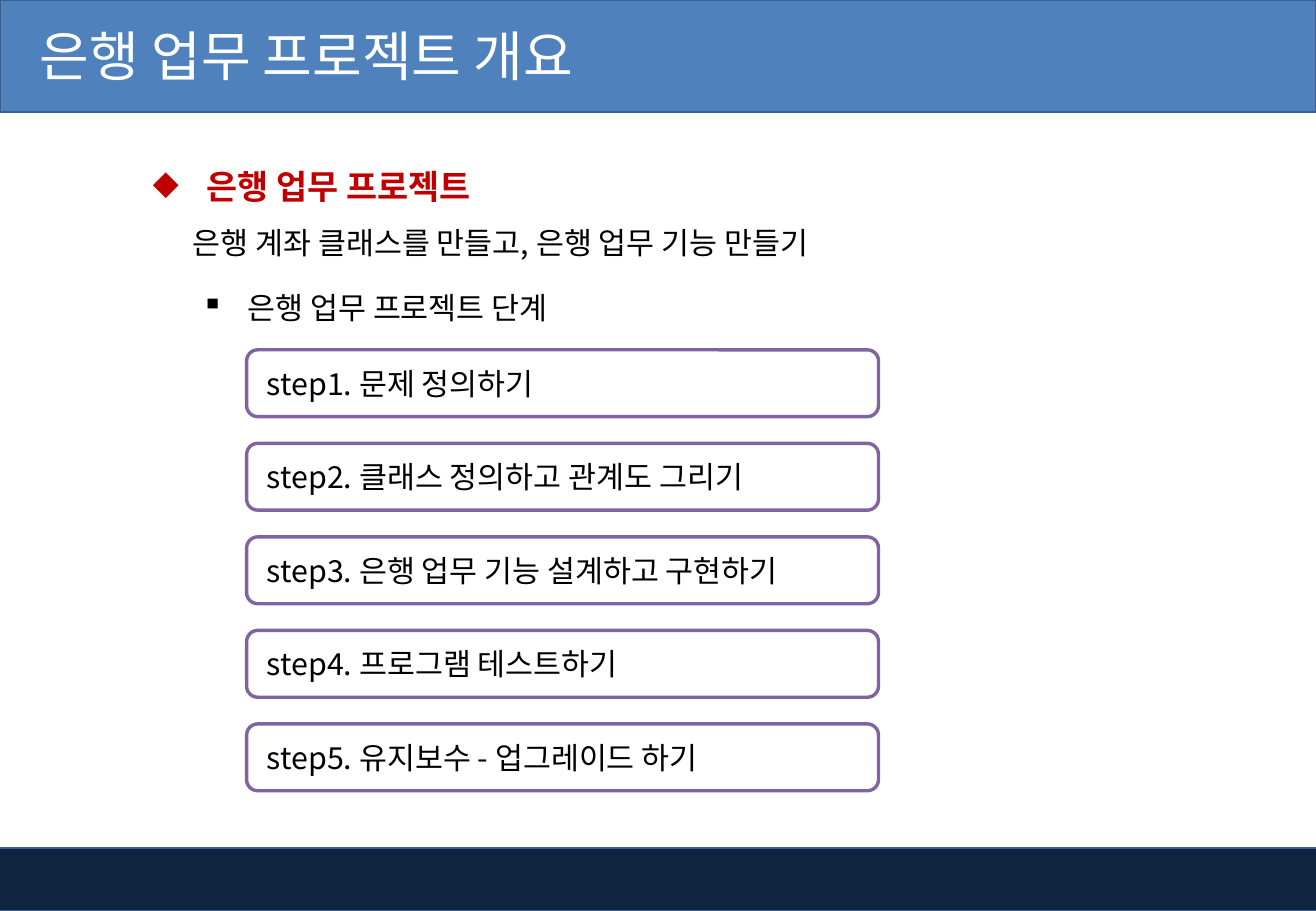
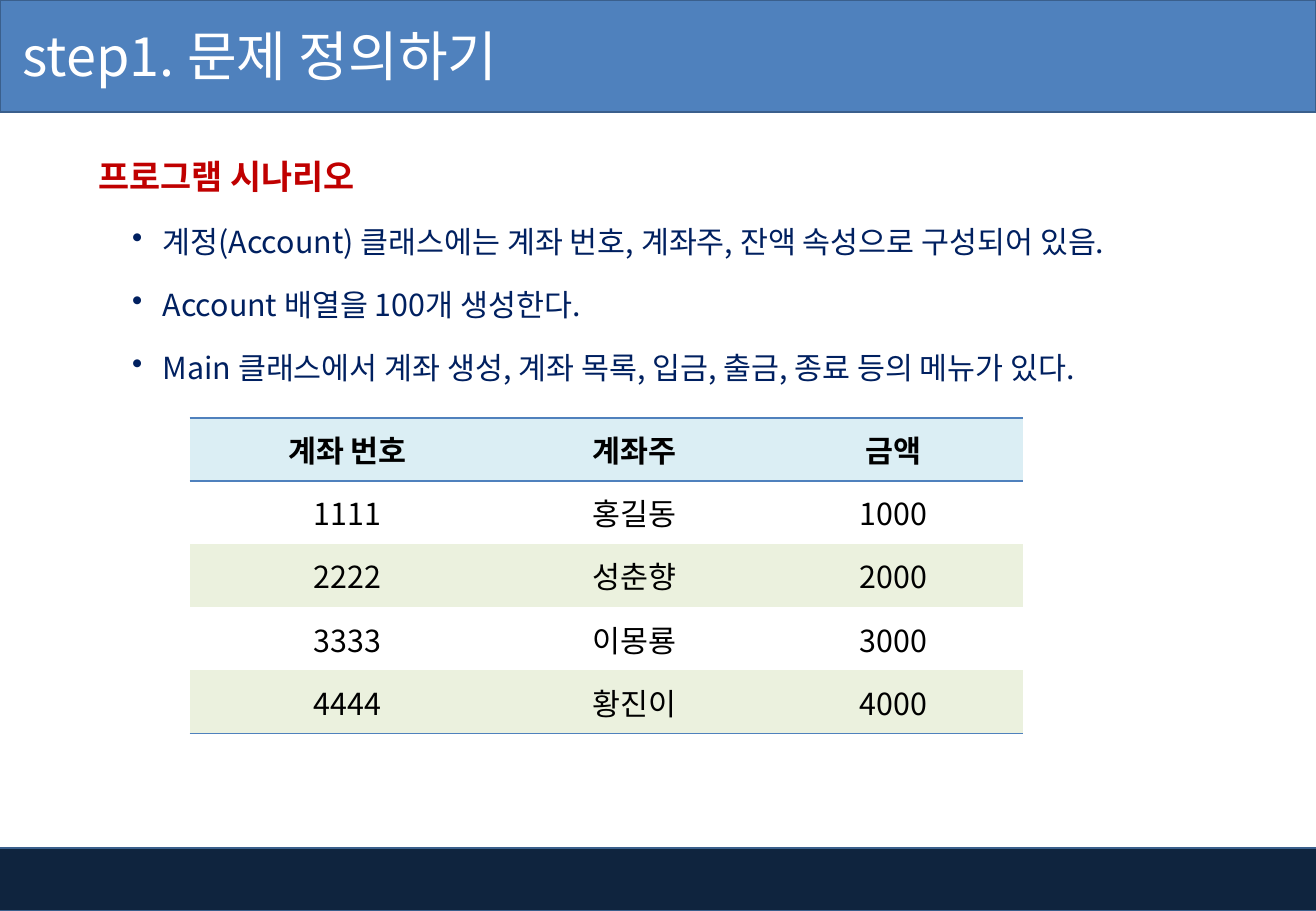
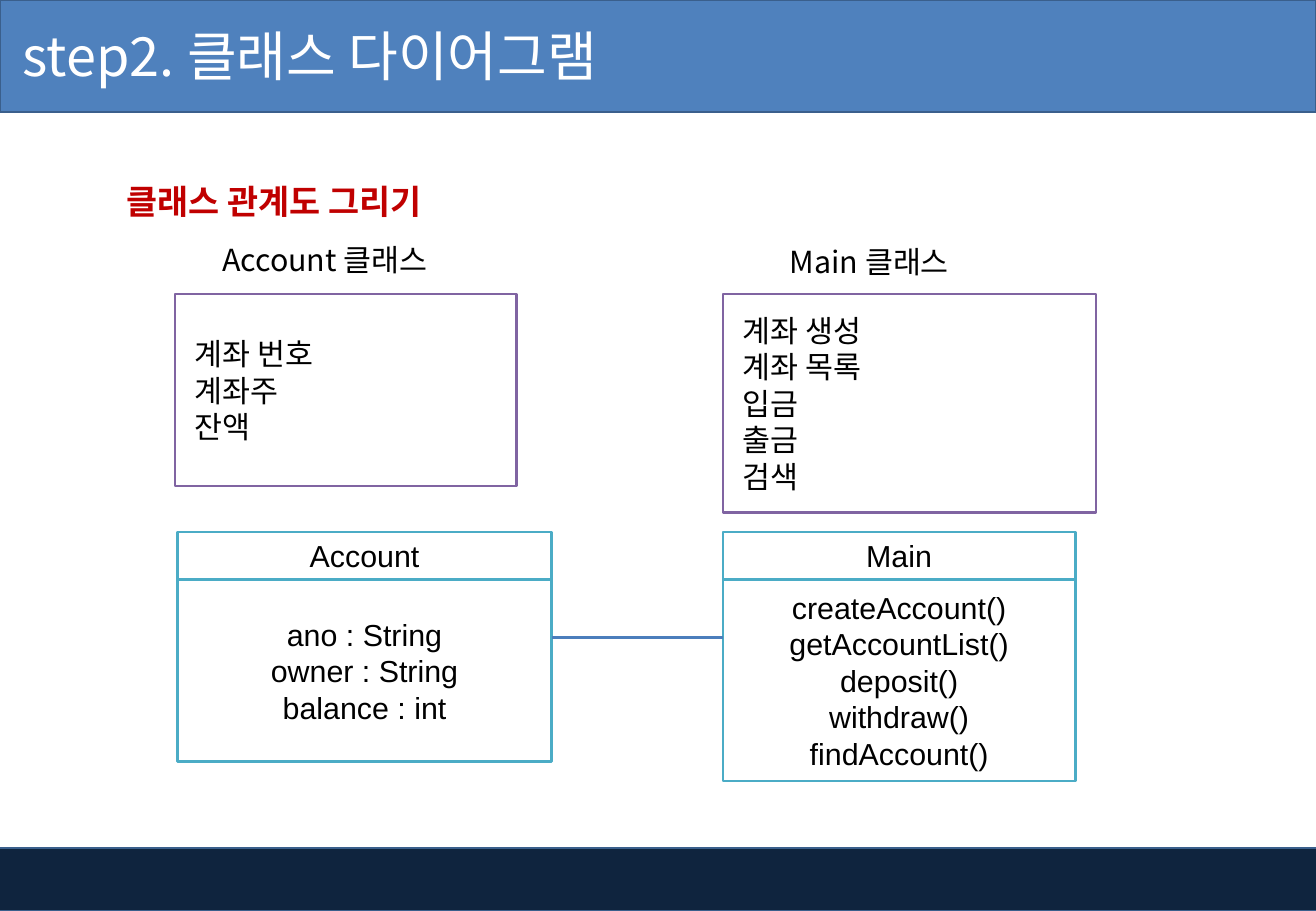
"""Build three slides that introduce a bank account class project."""
from dataclasses import dataclass, replace

from lxml.etree import SubElement
from pptx import Presentation
from pptx.dml.color import RGBColor
from pptx.enum.shapes import MSO_CONNECTOR, MSO_SHAPE
from pptx.enum.text import MSO_ANCHOR, PP_ALIGN
from pptx.oxml.ns import qn
from pptx.util import Inches, Length, Pt

KOREAN_FONT = "Noto Sans CJK KR"
CODE_FONT = "Arial"
BLACK, WHITE, RED, NAVY = "000000", "FFFFFF", "C00000", "002060"
BAND_BLUE, BAND_LINE, FOOTER_NAVY = "4F81BD", "3A5F8C", "0F243E"
PURPLE, TEAL, LINK_BLUE = "8064A2", "4BACC6", "4B7EBC"
HEADER_FILL, STRIPE_FILL = "DBEEF4", "EBF1DE"
NO_TABLE_STYLE = "{2D5ABB26-0587-4C30-8999-92F81FD0307C}"


@dataclass(frozen=True)
class Box:
    """Position and size in inches."""
    left: float
    top: float
    width: float
    height: float

    def lengths(self) -> tuple[Length, ...]:
        """Return the four values as lengths."""
        return tuple(Inches(value) for value in (self.left, self.top, self.width, self.height))


@dataclass(frozen=True)
class Style:
    """Look of a paragraph."""
    size: float = 18
    color: str = BLACK
    bold: bool = False
    font: str = KOREAN_FONT
    align: PP_ALIGN = PP_ALIGN.LEFT
    spacing: float | Length | None = None
    before: float = 0
    indent: float = 0
    hanging: float = 0
    bullet: str = ""


@dataclass(frozen=True)
class Frame:
    """Look of an outlined box."""
    fill: str
    line: str
    width: float
    preset: MSO_SHAPE = MSO_SHAPE.RECTANGLE
    margin: float = 0.1


@dataclass(frozen=True)
class Paragraph:
    """Text with its style."""
    text: str
    style: Style


@dataclass(frozen=True)
class ClassDiagram:
    """Description box and diagram of one class."""
    label: str
    label_box: Box
    features: tuple[str, ...]
    features_box: Box
    name: str
    members: tuple[str, ...]
    members_box: Box


BODY = Style()
HEADING = Style(size=20, color=RED, bold=True, spacing=1.5)
TITLE = Style(size=32, color=WHITE)
SCENARIO = Style(color=NAVY, spacing=1.5, before=5, indent=0.75, hanging=0.25, bullet="•")
FEATURE = Style(spacing=Pt(21.6))
CODE = Style(font=CODE_FONT, align=PP_ALIGN.CENTER, spacing=Pt(21.6))
CELL = Style(align=PP_ALIGN.CENTER)

STEP_FRAME = Frame(WHITE, PURPLE, 2, MSO_SHAPE.ROUNDED_RECTANGLE, 0.14)
FEATURE_FRAME = Frame(WHITE, PURPLE, 1.5, margin=0.16)
CODE_FRAME = Frame(WHITE, TEAL, 1.5)

STEPS = (
    "step1. 문제 정의하기",
    "step2. 클래스 정의하고 관계도 그리기",
    "step3. 은행 업무 기능 설계하고 구현하기",
    "step4. 프로그램 테스트하기",
    "step5. 유지보수 - 업그레이드 하기",
)
SCENARIOS = (
    "계정(Account) 클래스에는 계좌 번호, 계좌주, 잔액 속성으로 구성되어 있음.",
    "Account 배열을 100개 생성한다.",
    "Main 클래스에서 계좌 생성, 계좌 목록, 입금, 출금, 종료 등의 메뉴가 있다.",
)
ACCOUNTS = (
    ("계좌 번호", "계좌주", "금액"),
    ("1111", "홍길동", "1000"),
    ("2222", "성춘향", "2000"),
    ("3333", "이몽룡", "3000"),
    ("4444", "황진이", "4000"),
)
DIAGRAMS = (
    ClassDiagram(
        "Account 클래스", Box(1.73, 1.94, 2.02, 0.4),
        ("계좌 번호", "계좌주", "잔액"), Box(1.44, 2.42, 2.81, 1.58),
        "Account", ("ano : String", "owner : String", "balance : int"),
        Box(1.46, 4.77, 3.08, 1.5),
    ),
    ClassDiagram(
        "Main 클래스", Box(6.4, 1.95, 2.07, 0.4),
        ("계좌 생성", "계좌 목록", "입금", "출금", "검색"), Box(5.95, 2.42, 3.07, 1.8),
        "Main",
        ("createAccount()", "getAccountList()", "deposit()", "withdraw()", "findAccount()"),
        Box(5.95, 4.77, 2.9, 1.66),
    ),
)


def rgb(color: str) -> RGBColor:
    """Turn a hex string into a colour."""
    return RGBColor.from_string(color)


def format_paragraph(paragraph, style: Style) -> None:
    """Apply a style to a paragraph and its runs."""
    properties = paragraph._p.get_or_add_pPr()
    if style.indent:
        properties.set("marL", str(Inches(style.indent)))
        properties.set("indent", str(-Inches(style.hanging)))
    if style.bullet:
        SubElement(properties, qn("a:buChar")).set("char", style.bullet)
    paragraph.alignment = style.align
    if style.spacing:
        paragraph.line_spacing = style.spacing
    if style.before:
        paragraph.space_before = Pt(style.before)
    for run in paragraph.runs:
        run.font.size = Pt(style.size)
        run.font.bold = style.bold
        run.font.color.rgb = rgb(style.color)
        run.font.name = style.font
        east_asian = SubElement(run._r.get_or_add_rPr(), qn("a:ea"))
        east_asian.set("typeface", KOREAN_FONT)


def write(text_frame, paragraphs: list[Paragraph]) -> None:
    """Fill a text frame with styled paragraphs."""
    text_frame.word_wrap = True
    text_frame.text = "\n".join(item.text for item in paragraphs)
    for paragraph, item in zip(text_frame.paragraphs, paragraphs):
        format_paragraph(paragraph, item.style)


def styled(texts: tuple[str, ...], style: Style) -> list[Paragraph]:
    """Give several texts the same style."""
    return [Paragraph(text, style) for text in texts]


def add_text(slide, box: Box, paragraphs: list[Paragraph], anchor=MSO_ANCHOR.TOP) -> None:
    """Draw a text box."""
    text_frame = slide.shapes.add_textbox(*box.lengths()).text_frame
    text_frame.vertical_anchor = anchor
    write(text_frame, paragraphs)


def add_frame(slide, box: Box, frame: Frame, paragraphs: list[Paragraph] | None = None) -> None:
    """Draw a filled and outlined shape with optional text."""
    shape = slide.shapes.add_shape(frame.preset, *box.lengths())
    shape.shadow.inherit = False
    shape.fill.solid()
    shape.fill.fore_color.rgb = rgb(frame.fill)
    shape.line.color.rgb = rgb(frame.line)
    shape.line.width = Pt(frame.width)
    if paragraphs:
        shape.text_frame.vertical_anchor = MSO_ANCHOR.MIDDLE
        shape.text_frame.margin_left = Inches(frame.margin)
        write(shape.text_frame, paragraphs)


def add_link(slide, left: float, right: float, top: float) -> None:
    """Draw a horizontal line between two classes."""
    connector = slide.shapes.add_connector(
        MSO_CONNECTOR.STRAIGHT, Inches(left), Inches(top), Inches(right), Inches(top)
    )
    connector.line.color.rgb = rgb(LINK_BLUE)
    connector.line.width = Pt(1.5)
    SubElement(connector._element.spPr, qn("a:effectLst"))


def add_slide(presentation, title: str, indent: float = 0.09):
    """Add a slide with the shared bands and title."""
    slide = presentation.slides.add_slide(presentation.slide_layouts[6])
    add_frame(slide, Box(-0.04, 6.98, 10.88, 0.52), Frame(FOOTER_NAVY, BAND_LINE, 1))
    add_frame(slide, Box(0, 0, 10.83, 0.92), Frame(BAND_BLUE, BAND_LINE, 1))
    title_style = replace(TITLE, indent=indent)
    add_text(slide, Box(0, -0.02, 7.86, 0.94), [Paragraph(title, title_style)], MSO_ANCHOR.MIDDLE)
    return slide


def add_border(cell, side: str) -> None:
    """Draw one border of a table cell."""
    line = SubElement(cell._tc.get_or_add_tcPr(), qn(f"a:{side}"), w=str(Pt(1)))
    fill = SubElement(line, qn("a:solidFill"))
    SubElement(fill, qn("a:srgbClr")).set("val", BAND_BLUE)


def add_account_table(slide) -> None:
    """Draw the striped table of accounts."""
    row_height, widths = 0.52, (2.6, 2.13, 2.13)
    box = Box(1.56, 3.44, sum(widths), row_height * len(ACCOUNTS))
    table = slide.shapes.add_table(len(ACCOUNTS), len(widths), *box.lengths()).table
    table._tbl.tblPr.find(qn("a:tableStyleId")).text = NO_TABLE_STYLE
    table.horz_banding = False
    for column, width in zip(table.columns, widths):
        column.width = Inches(width)
    for row, values in enumerate(ACCOUNTS):
        table.rows[row].height = Inches(row_height)
        for column, value in enumerate(values):
            cell = table.cell(row, column)
            cell.vertical_anchor = MSO_ANCHOR.MIDDLE
            write(cell.text_frame, [Paragraph(value, replace(CELL, bold=row == 0))])
            if row == 0:
                add_border(cell, "lnT")
            if row in (0, len(ACCOUNTS) - 1):
                add_border(cell, "lnB")
            if row % 2:
                cell.fill.background()
            else:
                cell.fill.solid()
                cell.fill.fore_color.rgb = rgb(STRIPE_FILL if row else HEADER_FILL)


def add_class_diagram(slide, diagram: ClassDiagram) -> None:
    """Draw the description and the diagram of a class."""
    members = diagram.members_box
    name_height = 0.39
    name_box = replace(members, top=members.top - name_height, height=name_height)
    add_frame(slide, name_box, CODE_FRAME, styled((diagram.name,), CODE))
    add_frame(slide, members, CODE_FRAME, styled(diagram.members, CODE))
    add_frame(slide, diagram.features_box, FEATURE_FRAME, styled(diagram.features, FEATURE))
    add_text(slide, diagram.label_box, styled((diagram.label,), BODY))


def build_overview(presentation) -> None:
    """Build the slide with the five project steps."""
    slide = add_slide(presentation, "은행 업무 프로젝트 개요", 0.23)
    add_text(slide, Box(1.16, 1.15, 7.17, 1.06), [
        Paragraph("은행 업무 프로젝트", replace(HEADING, indent=0.44, hanging=0.44, bullet="◆")),
        Paragraph("은행 계좌 클래스를 만들고, 은행 업무 기능 만들기",
                  replace(BODY, spacing=1.5, indent=0.33)),
    ])
    stages = replace(BODY, indent=0.38, hanging=0.38, bullet="▪")
    add_text(slide, Box(1.56, 2.33, 4.17, 0.4), [Paragraph("은행 업무 프로젝트 단계", stages)])
    for index, step in enumerate(STEPS):
        box = Box(2.03, 2.88 + 0.77 * index, 5.2, 0.55)
        add_frame(slide, box, STEP_FRAME, styled((step,), BODY))


def build_problem(presentation) -> None:
    """Build the slide with the scenario and the accounts."""
    slide = add_slide(presentation, "step1. 문제 정의하기")
    heading = Paragraph("프로그램 시나리오", replace(HEADING, indent=0.22))
    add_text(slide, Box(0.49, 1.07, 9.5, 2.37), [heading, *styled(SCENARIOS, SCENARIO)])
    add_account_table(slide)


def build_diagram(presentation) -> None:
    """Build the slide with the two linked classes."""
    slide = add_slide(presentation, "step2. 클래스 다이어그램")
    heading = Paragraph("클래스 관계도 그리기", replace(HEADING, indent=0.25))
    add_text(slide, Box(0.69, 1.27, 4.21, 0.71), [heading])
    for diagram in DIAGRAMS:
        add_class_diagram(slide, diagram)
    account, main_class = (diagram.members_box for diagram in DIAGRAMS)
    add_link(slide, account.left + account.width, main_class.left, 5.25)


def main() -> None:
    """Build and save the presentation."""
    presentation = Presentation()
    presentation.slide_width = Inches(10.83)
    presentation.slide_height = Inches(7.5)
    build_overview(presentation)
    build_problem(presentation)
    build_diagram(presentation)
    presentation.save("out.pptx")


if __name__ == "__main__":
    main()
